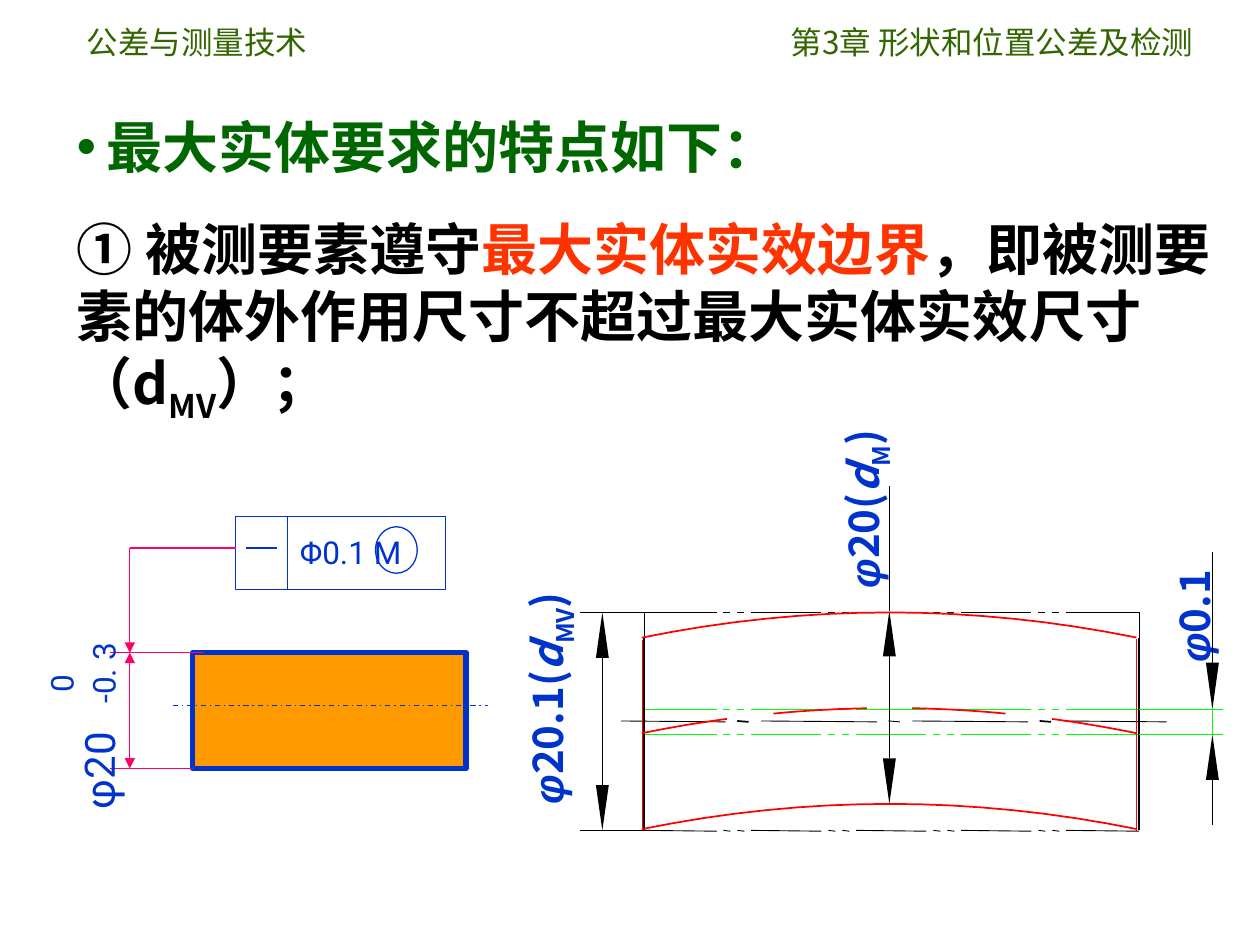
"""Build the slide on the features of the maximum material requirement."""
from lxml.etree import SubElement
from pptx import Presentation
from pptx.dml.color import RGBColor
from pptx.enum.dml import MSO_LINE
from pptx.enum.shapes import MSO_CONNECTOR, MSO_SHAPE
from pptx.enum.text import PP_ALIGN
from pptx.oxml.ns import qn
from pptx.util import Pt

rgb = RGBColor.from_string
BLACK, BLUE, RED, PINK, LIME = "000000", "0033CC", "FF0000", "FF0066", "00FF00"
OLIVE, GREEN, ORANGE, SCARLET = "336600", "006600", "FF9900", "FF3300"
CJK, CJK_JP, ARIAL, ROBOTO = "Noto Sans CJK SC", "Noto Sans CJK JP", "Arial", "Roboto"

prs = Presentation()
prs.slide_width, prs.slide_height = Pt(720), Pt(540)
s = prs.slides.add_slide(prs.slide_layouts[6])


def add_text(box, paras, size, inset=(7.2, 3.6), rotation=0, align=PP_ALIGN.LEFT, gap=0):
    tb = s.shapes.add_textbox(*map(Pt, box))
    tb.rotation = rotation
    tf = tb.text_frame
    tf.word_wrap = True
    tf.margin_left = tf.margin_right = Pt(inset[0])
    tf.margin_top = tf.margin_bottom = Pt(inset[1])
    for i, runs in enumerate(paras):
        p = tf.paragraphs[0] if i == 0 else tf.add_paragraph()
        p.alignment = align
        p.space_before = Pt(gap if i else 0)
        for text, name, color, fmt, base in runs:
            r = p.add_run()
            r.text = text
            for key, value in {"size": Pt(size), "name": name, **fmt}.items():
                setattr(r.font, key, value)
            r.font.color.rgb = rgb(color)
            rPr = r._r.get_or_add_rPr()
            SubElement(rPr, qn("a:ea")).set("typeface", name)
            if base:
                rPr.set("baseline", str(base * 1000))
    return tf


def add_line(x1, y1, x2, y2, color=BLACK, width=0.5, ends=(), dash=None):
    c = s.shapes.add_connector(MSO_CONNECTOR.STRAIGHT, Pt(x1), Pt(y1), Pt(x2), Pt(y2))
    c.line.color.rgb = rgb(color)
    c.line.width = Pt(width)
    if dash:
        c.line.dash_style = dash
    for end in ends:
        SubElement(c.line._get_or_add_ln(), qn(end)).set("type", "triangle")
    SubElement(c._element.spPr, qn("a:effectLst"))


# headers and body
add_text((42.5, 9.4, 154, 28.8), [[("公差与测量技术", CJK, OLIVE, {}, 0)]], 18)
add_text((422.6, 9.4, 266.4, 28.8), [[("第3章 形状和位置公差及检测", CJK, OLIVE, {}, 0)]], 18,
         align=PP_ALIGN.RIGHT)
bold = {"bold": True}
tf = add_text((36.7, 60.5, 670.3, 186.5), [
    [("最大实体要求的特点如下：", CJK, GREEN, bold, 0)],
    [("① 被测要素遵守", CJK, BLACK, bold, 0),
     ("最大实体实效边界", CJK, SCARLET, bold, 0),
     ("，即被测要素的体外作用尺寸不超过最大实体实效尺寸（d", CJK, BLACK, bold, 0),
     ("MV", CJK, BLACK, bold, -25),
     ("）；", CJK, BLACK, bold, 0)]], 32, gap=20)
pPr = tf.paragraphs[0]._p.get_or_add_pPr()
pPr.set("marL", str(Pt(17)))
pPr.set("indent", str(Pt(-17)))
SubElement(SubElement(pPr, qn("a:buClr")), qn("a:srgbClr")).set("val", GREEN)
SubElement(pPr, qn("a:buFont")).set("typeface", ARIAL)
SubElement(pPr, qn("a:buChar")).set("char", "•")

# dimension labels
slant = {"bold": True, "italic": True}
phi = ("φ", ARIAL, BLUE, slant, 0)
d = ("d", CJK_JP, BLUE, slant, 0)
close = (")", CJK_JP, BLUE, bold, 0)
labels = [
    ((671.8, 316.1, 58.3, 67), [phi, ("0.1", CJK_JP, BLUE, bold, 0)]),
    ((219.6, 320.4, 223.2, 66.2), [(" ", CJK_JP, BLUE, slant, 0), phi,
                                   ("20.1(", CJK_JP, BLUE, bold, 0), d,
                                   ("MV", CJK_JP, BLUE, bold, -25), close]),
    ((465.1, 255.6, 94.3, 67), [phi, ("20(", CJK_JP, BLUE, bold, 0), d,
                                ("M", CJK_JP, BLUE, bold, -25), close]),
]
for box, runs in labels:
    add_text(box, [runs], 24, inset=(0, 0), rotation=270, align=PP_ALIGN.JUSTIFY)

# boundary dashes
LEFT, RIGHT, TOP, BOTTOM, MID = 368, 651, 350, 474.5, 508.2
dashes = [(LEFT, 409.6)]
for k in range(4):
    x = 413.4 + 60 * k
    dashes += [(x, x + 4), (x + 8, x + 12), (x + 15.8, RIGHT if k == 3 else x + 56)]
for y, color, drop in [(BOTTOM, BLACK, 0.5), (TOP, BLACK, 0), (405.4, LIME, 0), (419.8, LIME, 0)]:
    for x1, x2 in dashes:
        add_line(x1, y, x2, y + drop, color)

# axis
for k in range(4):
    x = 348.5 + 86.4 * k
    add_line(max(x, 355), 412, min(x + 66.2, 666.7), 412.5)
    if k < 3:
        add_line(x + 72.8, 412, x + 79.3, 412.5, width=0.5 if k == 1 else 1)

# sides, extension and dimension lines
for x in (LEFT, RIGHT):
    add_line(x, 364.5, x, BOTTOM, width=1)
    add_line(x, 364.5, x, TOP)
for y in (TOP, BOTTOM):
    add_line(LEFT, y, 331.2, y)
for x, y1, y2 in [(344.2, 376, 448.6), (692.8, 445.7, 471.6), (692.8, 378.7, 315.4),
                  (MID, 433.4, 375.1), (MID, 349.2, 278)]:
    add_line(x, y1, x, y2)
for y in (405.4, 419.8):
    add_line(RIGHT, y, 699.1, y, LIME)
add_line(692.8, 419.8, 692.8, 405.4, LIME)
add_line(367.2, 365.8, 367.2, 473.8, RED, 0.75)
add_line(649.4, 365, 649.4, 475.2, RED, 0.75)

# arrowheads and bowed outlines
outlines = []
for x, base, tip in [(344.2, 448.6, 474.5), (344.2, 376, 350), (692.8, 445.7, 419.8),
                     (692.8, 378.7, 405.4), (MID, 433.4, 459.4), (MID, 375.1, 349.2)]:
    outlines.append(([(x - 3.7, base), (x + 3.7, base), (x, tip)], True))
for x1, x2, top in [(601.2, 649.4, 404.6), (521.3, 574.6, 404.6), (442, 495.4, 404.6),
                    (366.8, 415.4, 404.6), (366.8, 649.4, 459.4), (366.8, 649.4, TOP)]:
    xs = [x1 + (x2 - x1) * i / 16 for i in range(17)]
    outlines.append(([(x, top + 14.4 * ((x - MID) / 141.4) ** 2) for x in xs], False))
for points, solid in outlines:
    pts = [(Pt(x), Pt(y)) for x, y in points]
    fb = s.shapes.build_freeform(*pts[0], scale=1.0)
    fb.add_line_segments(pts[1:], close=solid)
    sp = fb.convert_to_shape()
    sp.shadow.inherit = False
    if solid:
        sp.fill.solid()
        sp.fill.fore_color.rgb = rgb(BLACK)
        sp.line.fill.background()
    else:
        sp.fill.background()
        sp.line.color.rgb = rgb(RED)
        sp.line.width = Pt(1)

# part drawing and tolerance frame
for kind, box, fill, width in [(MSO_SHAPE.RECTANGLE, (110.2, 373, 156.2, 66.2), ORANGE, 3),
                               (MSO_SHAPE.RECTANGLE, (134.6, 295.2, 120.2, 41.8), None, 0.75),
                               (MSO_SHAPE.OVAL, (214.6, 301, 23.8, 26.6), None, 0.75)]:
    sp = s.shapes.add_shape(kind, *map(Pt, box))
    sp.shadow.inherit = False
    if fill:
        sp.fill.solid()
        sp.fill.fore_color.rgb = rgb(fill)
    else:
        sp.fill.background()
    sp.line.color.rgb = rgb(BLUE)
    sp.line.width = Pt(width)
add_line(98.6, 403.2, 278.6, 403.2, BLUE, 0.75, dash=MSO_LINE.DASH_DOT)
add_line(116.6, 373, 62.6, 373, PINK, 0.75)
add_line(110.2, 439.2, 62.6, 439.2, PINK, 0.75)
add_line(74.2, 373, 74.2, 439.2, PINK, 0.75, ends=("a:headEnd", "a:tailEnd"))
add_line(164.2, 295.2, 164.2, 337, BLUE, 0.75)
add_line(140.4, 313.2, 158.4, 313.2, BLUE, 0.75)
add_line(134.6, 313.2, 74.2, 313.2, PINK, 0.75)
add_line(74.2, 373, 74.2, 313.2, PINK, 0.75, ends=("a:headEnd",))
for text, box, size, turn in [("φ20", (20.2, 415.4, 72, 36), 24, 270.2),
                              ("0", (23, 376.6, 23.8, 28.8), 18, 270.2),
                              ("-0. 3", (23, 358.6, 72, 28.8), 18, 270.2),
                              ("Φ0.1 M", (164.2, 301, 102.2, 28.8), 18, 0)]:
    add_text(box, [[(text, ROBOTO, BLUE, {}, 0)]], size, rotation=turn)

prs.save("out.pptx")
